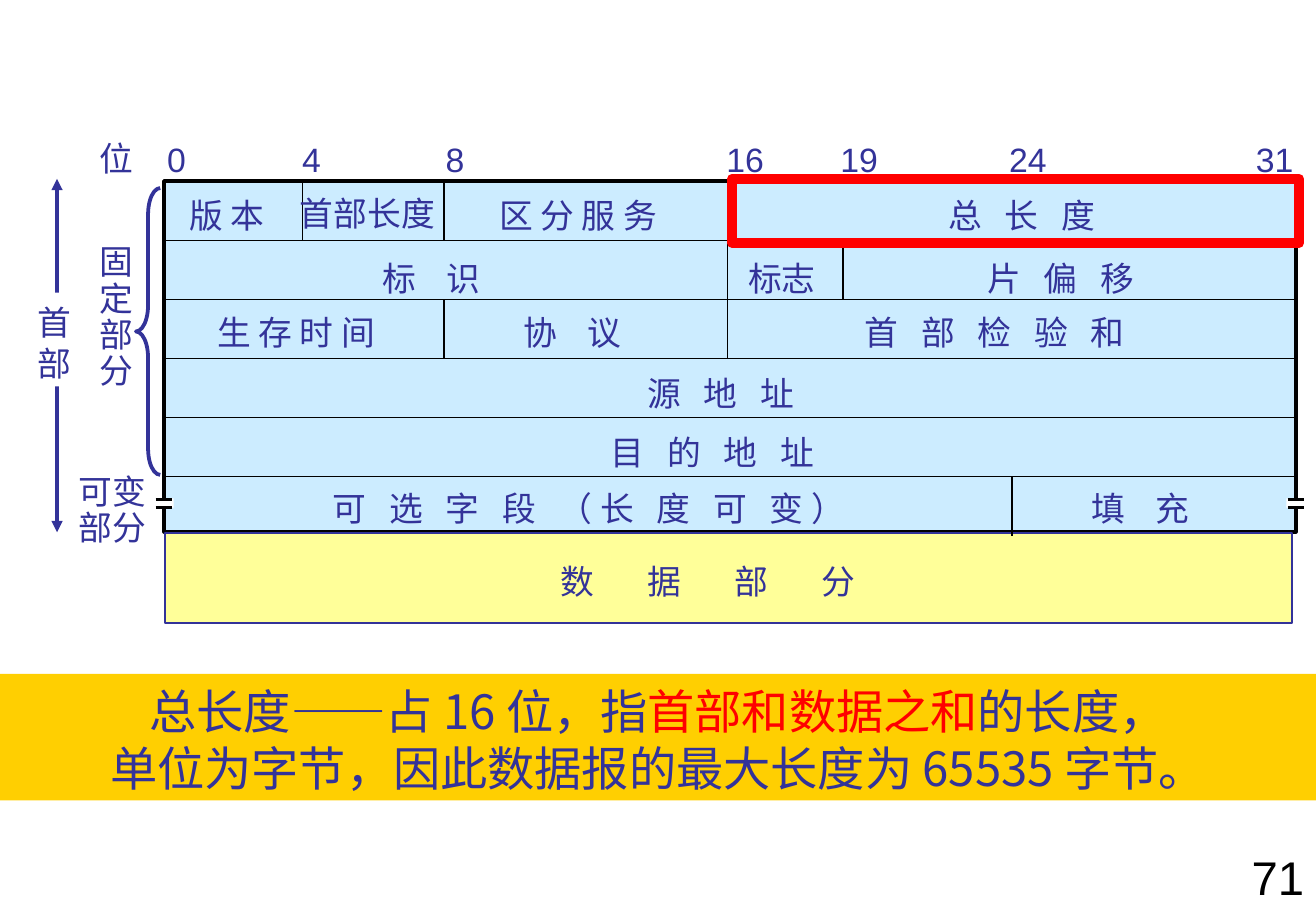
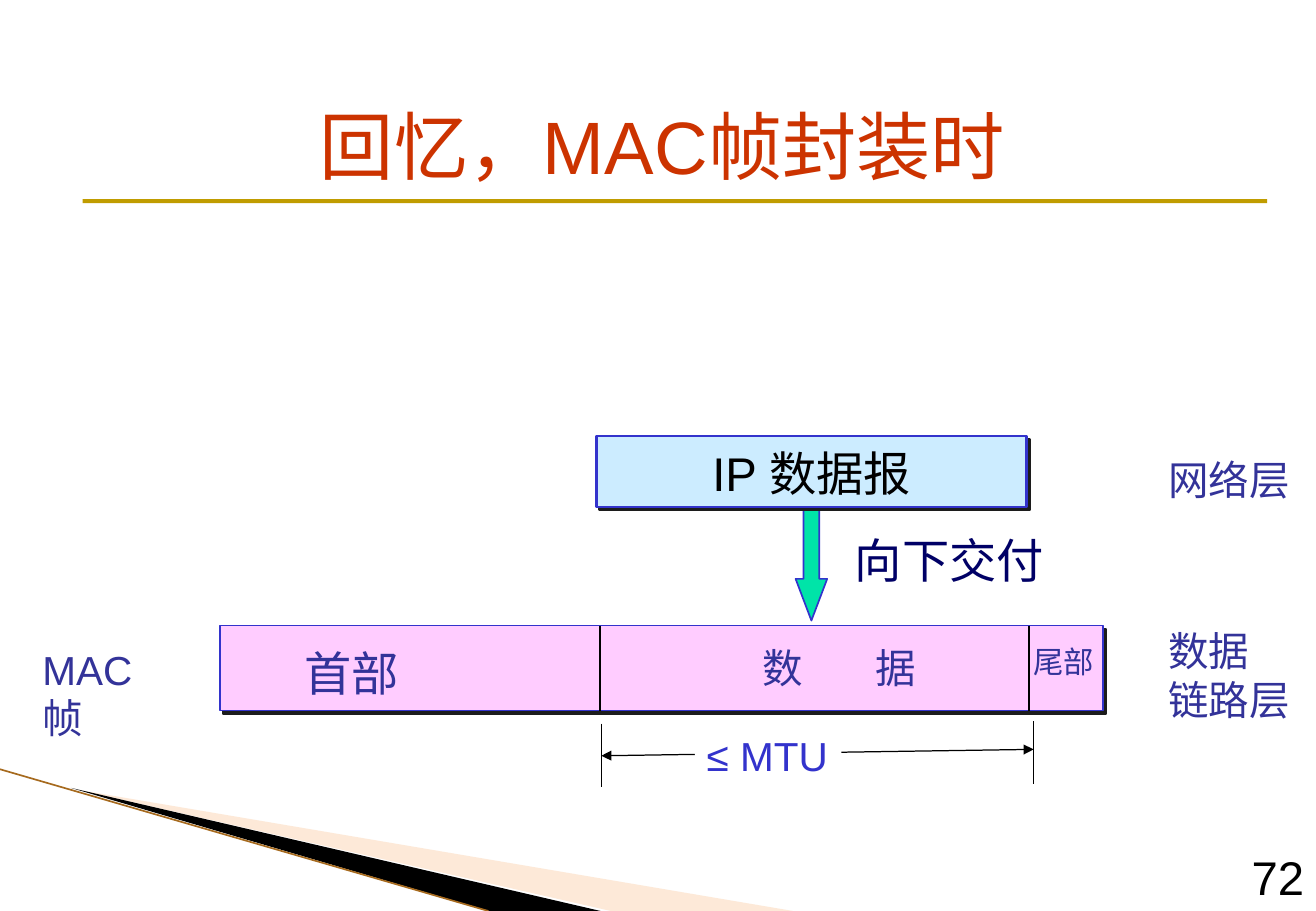
"""Build two slides on IP datagram length and MAC frame encapsulation."""
from lxml.etree import SubElement
from pptx import Presentation
from pptx.dml.color import RGBColor
from pptx.enum.shapes import MSO_CONNECTOR, MSO_SHAPE
from pptx.enum.text import MSO_ANCHOR, MSO_AUTO_SIZE, PP_ALIGN
from pptx.oxml.ns import qn
from pptx.util import Pt

INK, BLACK, WHITE, SKY = "333399", "000000", "FFFFFF", "CCECFF"
BLUE, RED = "3333CC", "FF0000"
CJK = "Noto Sans CJK SC"
RECT = MSO_SHAPE.RECTANGLE


def add(s, kind, x, y, w, h, fill=None, line=None, weight=1, arrows=False, shadow=False):
    """Add a line, a text box or a preset shape, with its fill and outline."""
    if kind == "text":
        return s.shapes.add_textbox(Pt(x), Pt(y), Pt(w), Pt(h))
    if kind == "line":
        sp = s.shapes.add_connector(MSO_CONNECTOR.STRAIGHT, Pt(x), Pt(y), Pt(x + w), Pt(y + h))
    else:
        sp = s.shapes.add_shape(kind, Pt(x), Pt(y), Pt(w), Pt(h))
        if fill:
            sp.fill.solid()
            sp.fill.fore_color.rgb = RGBColor.from_string(fill)
        else:
            sp.fill.background()
    if line:
        sp.line.color.rgb = RGBColor.from_string(line)
        sp.line.width = Pt(weight)
    else:
        sp.line.fill.background()
    if arrows:
        ln = sp.line._get_or_add_ln()
        for end in ("a:headEnd", "a:tailEnd"):
            SubElement(ln, qn(end), type="triangle")
    effects = SubElement(sp._element.spPr, qn("a:effectLst"))
    if shadow:
        outer = SubElement(effects, qn("a:outerShdw"), dist=str(Pt(2.8)), dir="2700000", algn="ctr", rotWithShape="0")
        SubElement(outer, qn("a:srgbClr"), val="1C1C1C")
    return sp


def write(sp, text, size=20, color=INK, font="Arial", align=PP_ALIGN.LEFT,
          anchor=MSO_ANCHOR.TOP, leading=1.2, spread=0, accent=None, bottom=3.6):
    """Fill a shape with text, one paragraph a line."""
    tf = sp.text_frame
    tf.word_wrap = True
    tf.auto_size = MSO_AUTO_SIZE.NONE
    tf.vertical_anchor = anchor
    tf.margin_left = tf.margin_right = Pt(7.2)
    tf.margin_top, tf.margin_bottom = Pt(5.5), Pt(bottom)
    for i, row in enumerate(text.split("\n")):
        p = tf.add_paragraph() if i else tf.paragraphs[0]
        p.alignment = align
        p.line_spacing = Pt(size * leading)
        for part in filter(None, row.partition(accent) if accent else [row]):
            r = p.add_run()
            r.text = part
            r.font.size = Pt(size)
            r.font.name = font
            r.font.color.rgb = RGBColor.from_string(RED if part == accent else color)
            rPr = r._r.get_or_add_rPr()
            SubElement(rPr, qn("a:ea"), typeface=CJK)
            if spread:
                rPr.set("spc", str(round(spread * 100)))


prs = Presentation()
prs.slide_width, prs.slide_height = Pt(780), Pt(540)
header = prs.slides.add_slide(prs.slide_layouts[6])
frame = prs.slides.add_slide(prs.slide_layouts[5])
for s, number in ((header, "71"), (frame, "72")):
    write(add(s, "text", 713, 500, 67, 40), number, size=28, color=BLACK,
          align=PP_ALIGN.RIGHT, anchor=MSO_ANCHOR.BOTTOM)

s = header
add(s, "line", 33.8, 106, 0, 209.5, line=INK, weight=2.25, arrows=True)
write(add(s, RECT, 15, 173.5, 35, 55.5, fill=WHITE), "首\n部")
add(s, RECT, 97.2, 107.3, 671, 208, fill=SKY, line=BLACK, weight=2)
add(s, RECT, 98, 316, 668, 53.5, fill="FFFF99", line=INK)

top, row = 107.5, 35
for i in range(1, 6):
    add(s, "line", 96.5, top + row * i, 672.5, 0, line=BLACK)
for x, first, rows in ((179.3, 0, 1), (263, 0, 1), (263, 2, 1), (431.3, 0, 3), (499.7, 1, 1), (599.8, 5, 1)):
    add(s, "line", x, top + row * first, 0, row * rows, line=BLACK)

for x, bit in ((92, "0"), (172, "4"), (257, "8"), (423.4, "16"), (491, "19"), (591, "24"), (737.3, "31")):
    write(add(s, "text", x, 77, 40, 31), bit)

fields = [
    (105, 110, 70, "版 本", 0), (170.6, 108.7, 96, "首部长度", 0),
    (288.7, 110, 125, "区 分 服 务", 0), (555, 110, 125, "总 长 度", 4.5),
    (219.6, 147.6, 100, "标 识", 6.75), (436.3, 147.6, 60, "标志", 0),
    (578, 147.6, 125, "片 偏 移", 4.5), (121.7, 179.3, 125, "生 存 时 间", 0),
    (303, 179.3, 100, "协 议", 6.75), (505.4, 179.3, 200, "首 部 检 验 和", 4.5),
    (376.6, 215.3, 125, "源 地 址", 4.5), (355, 250.5, 165, "目 的 地 址", 4.5),
    (190, 283.7, 360, "可 选 字 段 （长 度 可 变）", 4.5),
    (640, 283.7, 100, "填 充", 6.75), (325.4, 327, 260, "数 据 部 分", 13.5),
    (51.8, 76.3, 35, "位", 0),
]
for x, y, w, text, spread in fields:
    write(add(s, "text", x, y, w, 31), text, spread=spread)

for x in (91.5, 762.5):
    add(s, RECT, x, 295.5, 11.5, 5.5, fill=WHITE)
    for y in (296, 301):
        add(s, "line", x + 0.7, y, 10, 0, line=BLACK, weight=2)

for x, y, w, h, text in ((51.8, 139.7, 35, 94.5, "固\n定\n部\n分"), (39.6, 275.8, 56, 50.5, "可变\n部分")):
    write(add(s, "text", x, y, w, h), text, leading=1.08)
sp = add(s, MSO_SHAPE.LEFT_BRACE, 80.6, 111.5, 14.4, 170, line=INK, weight=2.25)
sp.adjustments[0] = 1.08
sp = add(s, RECT, 0, 399.5, 780, 75, fill="FFCF01")
write(sp, "总长度——占 16 位，指首部和数据之和的长度，\n单位为字节，因此数据报的最大长度为 65535 字节。",
      size=28, font=CJK, align=PP_ALIGN.CENTER, anchor=MSO_ANCHOR.MIDDLE, accent="首部和数据之和")
add(s, RECT, 434, 106, 336, 38, line=RED, weight=6)

s = frame
sp = s.shapes.title
sp.left, sp.top, sp.width, sp.height = Pt(42.5), Pt(16.5), Pt(700.5), Pt(96)
write(sp, "回忆，MAC帧封装时", size=44, color="CC3300", align=PP_ALIGN.CENTER,
      anchor=MSO_ANCHOR.BOTTOM, bottom=0)
add(s, RECT, 49, 118, 702, 2.4, fill="C09C00")
for color, alpha, points in (
    ("FBC99E", 40, [(48, 468.5), (470, 540), (362, 540)]),
    (BLACK, 100, [(42, 467), (356, 540), (290, 540)]),
):
    fb = s.shapes.build_freeform(Pt(points[0][0]), Pt(points[0][1]))
    fb.add_line_segments([(Pt(x), Pt(y)) for x, y in points[1:]])
    sp = fb.convert_to_shape()
    sp.shadow.inherit = False
    sp.line.fill.background()
    sp.fill.solid()
    sp.fill.fore_color.rgb = RGBColor.from_string(color)
    clr = sp._element.spPr.find(qn("a:solidFill"))[0]
    SubElement(clr, qn("a:alpha"), val=str(alpha * 1000))
add(s, "line", 0, 456, 289.5, 84, line="A66A1E")

add(s, RECT, 130.3, 370.8, 523.5, 50.4, fill="FFCCFF", line=BLUE, shadow=True)
for x in (355.7, 610):
    add(s, "line", x, 370.8, 0, 50.4, line=BLACK)
sp = add(s, MSO_SHAPE.DOWN_ARROW, 471.6, 300.2, 18.7, 67.7, fill="00E4A8", line=BLUE)
sp.adjustments[0], sp.adjustments[1] = 0.5, 1.32
sp = add(s, RECT, 353.5, 258.5, 255, 42, fill=SKY, line=BLUE, weight=1.5, shadow=True)
write(sp, "IP 数据报", size=28, color=BLACK, align=PP_ALIGN.CENTER, anchor=MSO_ANCHOR.MIDDLE)

add(s, "line", 356.4, 448, 256.3, -3.8, line=BLACK, weight=0.75, arrows=True)
for x, y in ((356.4, 429), (612.7, 427.5)):
    add(s, "line", x, y, 0, 37.5, line=BLACK, weight=0.75)
write(add(s, RECT, 411.8, 427.7, 87, 36, fill=WHITE), "≤ MTU", size=24, color=BLUE)

labels = [
    (18, 376.6, 85, 65, "MAC帧", dict(size=24)),
    (173.5, 376.6, 189, 41, "首部", dict(size=28)),
    (445, 375.8, 140, 36, "数 据", dict(size=24, spread=18.6)),
    (605.5, 375.8, 52, 29, "尾部", dict(size=18)),
    (685.4, 264.2, 90, 36, "网络层", dict(size=24, font=CJK)),
    (685.4, 365.8, 90, 65.5, "数据\n链路层", dict(size=24, font=CJK)),
    (499.7, 309.6, 130, 41, "向下交付", dict(size=28, color="000066", font="Times New Roman")),
]
for x, y, w, h, text, style in labels:
    write(add(s, "text", x, y, w, h), text, **style)

prs.save("out.pptx")
